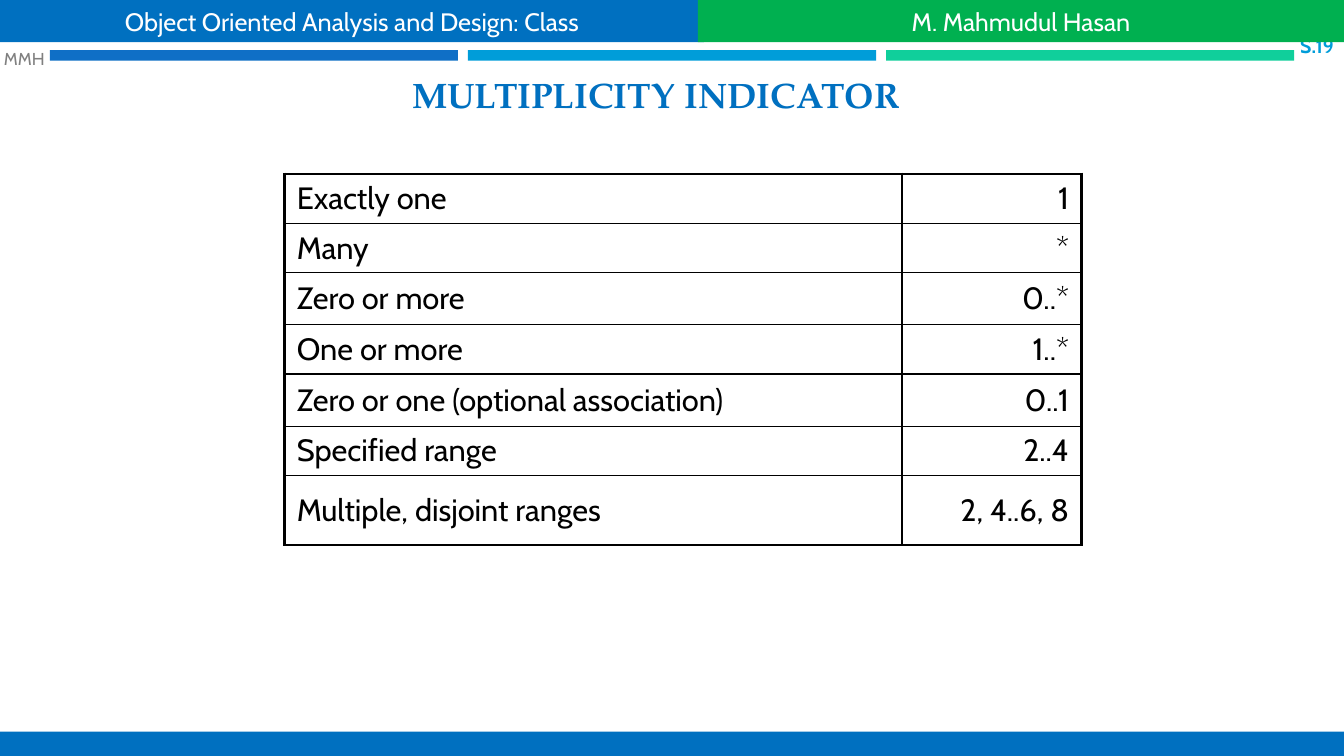
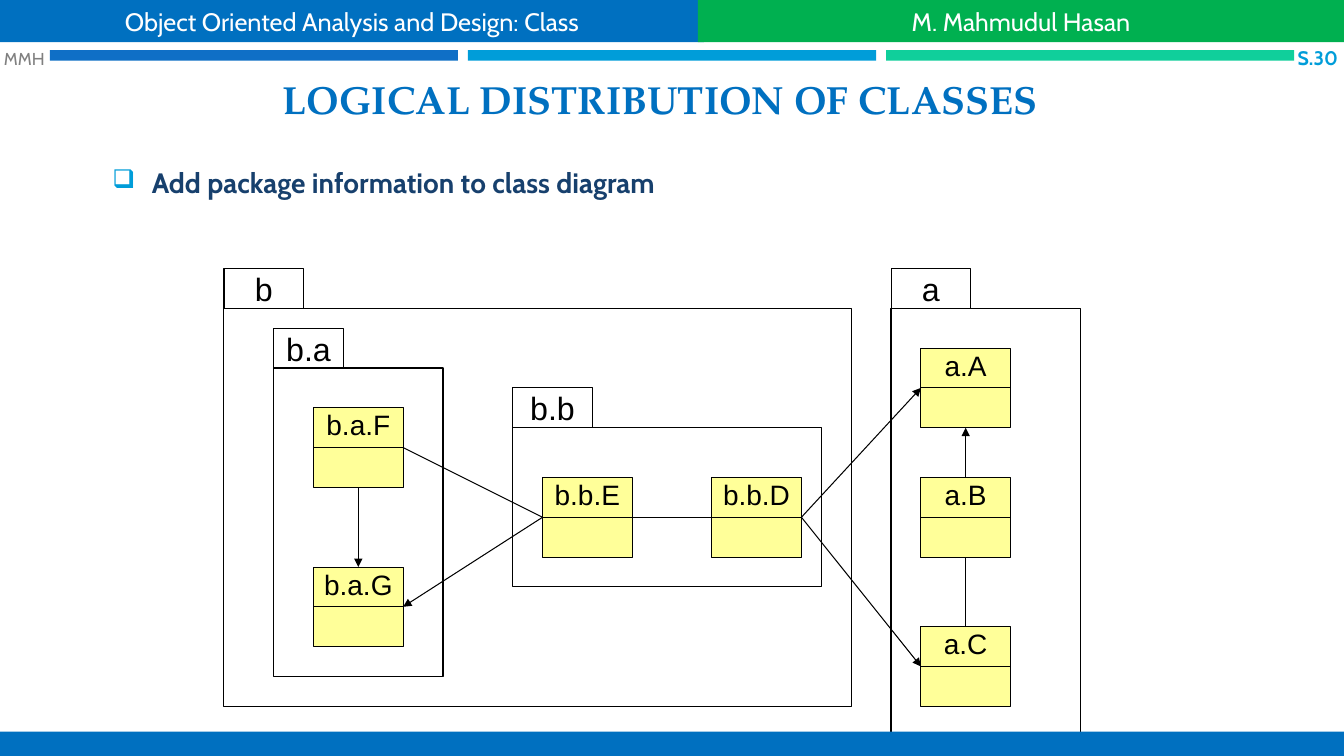
from lxml import etree
from pptx import Presentation
from pptx.dml.color import RGBColor
from pptx.enum.shapes import MSO_CONNECTOR, MSO_SHAPE
from pptx.enum.text import MSO_ANCHOR, PP_ALIGN
from pptx.oxml.ns import qn
from pptx.util import Inches, Pt

RECTANGLE = MSO_SHAPE.RECTANGLE
STRAIGHT = MSO_CONNECTOR.STRAIGHT
TOP, MIDDLE, BOTTOM = MSO_ANCHOR.TOP, MSO_ANCHOR.MIDDLE, MSO_ANCHOR.BOTTOM
LEFT, CENTER, RIGHT = PP_ALIGN.LEFT, PP_ALIGN.CENTER, PP_ALIGN.RIGHT
TOP_SIDE, LEFT_SIDE, BOTTOM_SIDE, RIGHT_SIDE = range(4)

SLIDE_WIDTH, SLIDE_HEIGHT = Inches(13.333), Inches(7.5)
COLUMNS, ROWS = 135, 76

BLUE, GREEN, SKY = "0070C0", "00B050", "009DD9"
BLACK, WHITE, YELLOW = "000000", "FFFFFF", "FFFF99"
BANDS = ("0F6FC6", SKY, "10CF9B")

TITLE = {"name": "TeX Gyre Pagella", "bold": True, "color": BLUE}
HEADER = {"name": "Cabin", "size": Pt(18), "color": WHITE}
NUMBER = {"name": "Cabin", "size": Pt(14), "bold": True, "color": SKY}
INITIALS = {"name": "Cabin", "size": Pt(12.3), "color": "808080"}
POINT = {"name": "Cabin", "size": Pt(20), "bold": True, "color": "17406D"}
CELL = {"name": "Cabin", "size": Pt(22), "color": BLACK}
CLASS = {"name": "Arial", "size": Pt(20), "color": BLACK}
TAB = {"name": "Arial", "size": Pt(23), "color": BLACK}

INDICATORS = [
    ("Exactly one", "1", 4.95),
    ("Many", "*", 4.95),
    ("Zero or more", "0..*", 5.25),
    ("One or more", "1..*", 4.95),
    ("Zero or one (optional association)", "0..1", 5.25),
    ("Specified range", "2..4", 4.95),
    ("Multiple, disjoint ranges", "2, 4..6, 8", 7),
]

DIAGRAM_LEFT, DIAGRAM_TOP = 22.5, 27
TAB_HEIGHT, CLASS_WIDTH, CLASS_HEIGHT = 4, 9, 8
PACKAGES = [
    ("b", 0, 0, 8, 63, 40),
    ("b.a", 5, 6, 7, 17, 31),
    ("b.b", 29, 12, 8, 31, 16),
    ("a", 67, 0, 8, 19, 43),
]
CLASSES = {
    "a.A": (70, 8), "a.B": (70, 21), "a.C": (70, 36),
    "b.b.D": (49, 21), "b.b.E": (32, 21),
    "b.a.F": (9, 14), "b.a.G": (9, 30),
}
LINKS = [
    ("a.B", TOP_SIDE, "a.A", BOTTOM_SIDE, True),
    ("a.B", BOTTOM_SIDE, "a.C", TOP_SIDE, False),
    ("b.b.D", RIGHT_SIDE, "a.C", LEFT_SIDE, True),
    ("b.b.D", RIGHT_SIDE, "a.A", LEFT_SIDE, True),
    ("b.b.E", RIGHT_SIDE, "b.b.D", LEFT_SIDE, False),
    ("b.b.E", LEFT_SIDE, "b.a.F", RIGHT_SIDE, False),
    ("b.b.E", LEFT_SIDE, "b.a.G", RIGHT_SIDE, True),
    ("b.a.F", BOTTOM_SIDE, "b.a.G", TOP_SIDE, True),
]


def rgb(value):
    """Turn a hex string into a colour."""
    return RGBColor.from_string(value)


def across(columns):
    """Return the length of a number of grid columns."""
    return round(SLIDE_WIDTH * columns / COLUMNS)


def down(rows):
    """Return the length of a number of grid rows."""
    return round(SLIDE_HEIGHT * rows / ROWS)


def place(left, top, width, height):
    """Return a grid area as slide lengths."""
    return across(left), down(top), across(width), down(height)


def write(frame, text, style, align=LEFT, anchor=MIDDLE, insets=(0, 0, 0, 0), wrap=True):
    """Fill a text frame with one styled paragraph and return the paragraph."""
    sides = ("margin_left", "margin_top", "margin_right", "margin_bottom")
    layout = dict(zip(sides, map(Inches, insets)), vertical_anchor=anchor, word_wrap=wrap)
    for name, value in layout.items():
        setattr(frame, name, value)
    para = frame.paragraphs[0]
    para.alignment = align
    span = para.add_run()
    span.text = text
    for name, value in style.items():
        if name == "color":
            span.font.color.rgb = rgb(value)
        else:
            setattr(span.font, name, value)
    return para


def add_label(page, area, text, style, **layout):
    """Add a text box and return its paragraph."""
    box = page.shapes.add_textbox(*place(*area))
    return write(box.text_frame, text, style, **layout)


def add_box(page, area, fill=None, line=None):
    """Add a plain rectangle."""
    box = page.shapes.add_shape(RECTANGLE, *place(*area))
    box.shadow.inherit = False
    if fill:
        box.fill.solid()
        box.fill.fore_color.rgb = rgb(fill)
    else:
        box.fill.background()
    if line:
        box.line.color.rgb = rgb(line)
        box.line.width = Pt(0.75)
    else:
        box.line.fill.background()
    return box


def add_link(page, start, start_side, end, end_side, arrow=False):
    """Join the sides of two boxes with a line."""
    link = page.shapes.add_connector(STRAIGHT, 0, 0, 0, 0)
    link.begin_connect(start, start_side)
    link.end_connect(end, end_side)
    link.line.color.rgb = rgb(BLACK)
    link.line.width = Pt(0.75)
    properties = link._element.spPr
    if arrow:
        etree.SubElement(properties.find(qn("a:ln")), qn("a:tailEnd"), type="triangle")
    etree.SubElement(properties, qn("a:effectLst"))


def add_package(page, name, left, top, tab_width, width, height):
    """Add a package frame with its name tab."""
    left, top = DIAGRAM_LEFT + left, DIAGRAM_TOP + top
    add_box(page, (left, top + TAB_HEIGHT, width, height), line=BLACK)
    tab = add_box(page, (left, top, tab_width, TAB_HEIGHT), line=BLACK)
    write(tab.text_frame, name, TAB, CENTER, insets=(0.12, 0.06, 0.12, 0.06), wrap=False)


def add_class(page, name, left, top):
    """Add a class box split by a line under its name."""
    area = (DIAGRAM_LEFT + left, DIAGRAM_TOP + top, CLASS_WIDTH, CLASS_HEIGHT)
    box = add_box(page, area, YELLOW, BLACK)
    write(box.text_frame, name, CLASS, CENTER, TOP, (0.1, 0, 0.1, 0.05), wrap=False)
    add_link(page, box, LEFT_SIDE, box, RIGHT_SIDE)
    return box


def set_borders(cell, widths):
    """Draw the left, right, top and bottom borders of a cell."""
    properties = cell._tc.get_or_add_tcPr()
    for position, (side, width) in enumerate(zip("LRTB", widths)):
        line = etree.Element(qn(f"a:ln{side}"), w=str(Pt(width)))
        fill = etree.SubElement(line, qn("a:solidFill"))
        etree.SubElement(fill, qn("a:srgbClr"), val=BLACK)
        properties.insert(position, line)


def add_indicator_table(page):
    """Add the table of multiplicities with a heavy outer border."""
    widths = (62, 18)
    last = len(INDICATORS) - 1
    height = sum(row[2] for row in INDICATORS)
    area = place(28.6, 17.5, sum(widths), height)
    table = page.shapes.add_table(len(INDICATORS), 2, *area).table
    table.first_row = table.horz_banding = False
    for column, width in zip(table.columns, widths):
        column.width = across(width)
    for index, (meaning, notation, row_height) in enumerate(INDICATORS):
        table.rows[index].height = down(row_height)
        for column, (text, align) in enumerate(((meaning, LEFT), (notation, RIGHT))):
            cell = table.cell(index, column)
            cell.fill.background()
            write(cell.text_frame, text, CELL, align)
            cell.vertical_anchor = MIDDLE
            cell.margin_left = cell.margin_right = Inches(0.12)
            cell.margin_top = cell.margin_bottom = Inches(0.06)
            outer = (column == 0, column == 1, index == 0, index == last)
            set_borders(cell, [2.25 if edge else 1 for edge in outer])


def add_point(page, area, text):
    """Add a line of text with a square bullet."""
    para = add_label(page, area, text, POINT, insets=(0.1, 0.05, 0.1, 0.05))
    properties = para._p.get_or_add_pPr()
    properties.set("marL", str(Inches(0.39)))
    properties.set("indent", str(Inches(-0.39)))
    colour = etree.SubElement(properties, qn("a:buClr"))
    etree.SubElement(colour, qn("a:srgbClr"), val=SKY)
    etree.SubElement(properties, qn("a:buSzPct"), val="92000")
    etree.SubElement(properties, qn("a:buChar"), char="❑")


def start_page(deck, title, area, size):
    """Add a blank page with the three bands and a title."""
    page = deck.slides.add_slide(deck.slide_layouts[6])
    for index, colour in enumerate(BANDS):
        add_box(page, (5 + 42 * index, 5.05, 41, 1.05), colour)
    style = dict(TITLE, size=Pt(size))
    add_label(page, area, title, style, align=CENTER, anchor=BOTTOM,
              insets=(0.1, 0.05, 0.1, 0.03))
    return page


def finish_page(page, number, number_left, number_top):
    """Add the page number, initials, header and footer."""
    add_label(page, (number_left, number_top, 8, 3), number, NUMBER, align=RIGHT)
    add_label(page, (0.4, 4.4, 5, 3), "MMH", INITIALS, wrap=False)
    headers = [
        ("Object Oriented Analysis and Design: Class", 0, 70.7, BLUE),
        ("M. Mahmudul Hasan", 70.1, 64.9, GREEN),
    ]
    for text, left, width, fill in headers:
        box = add_box(page, (left, 0, width, 4.25), fill)
        write(box.text_frame, text, HEADER, CENTER)
    add_box(page, (0, 73.55, COLUMNS, 2.45), BLUE)


def add_multiplicity_page(deck):
    """Build the page on multiplicity."""
    page = start_page(deck, "MULTIPLICITY INDICATOR", (4.9, 6.2, 122, 5.7), 25.2)
    add_indicator_table(page)
    finish_page(page, "S.19", 126, 3.05)


def add_distribution_page(deck):
    """Build the page on packages and classes."""
    page = start_page(deck, "LOGICAL DISTRIBUTION OF CLASSES", (5.3, 6.5, 122, 6.1), 28)
    add_point(page, (10.3, 16.1, 116, 4.45), "Add package information to class diagram")
    for package in PACKAGES:
        add_package(page, *package)
    boxes = {name: add_class(page, name, *corner) for name, corner in CLASSES.items()}
    for start, start_side, end, end_side, arrow in LINKS:
        add_link(page, boxes[start], start_side, boxes[end], end_side, arrow)
    finish_page(page, "S.30", 126.4, 4.3)


def main():
    """Build and save the deck."""
    deck = Presentation()
    deck.slide_width, deck.slide_height = SLIDE_WIDTH, SLIDE_HEIGHT
    add_multiplicity_page(deck)
    add_distribution_page(deck)
    deck.save("out.pptx")


if __name__ == "__main__":
    main()
